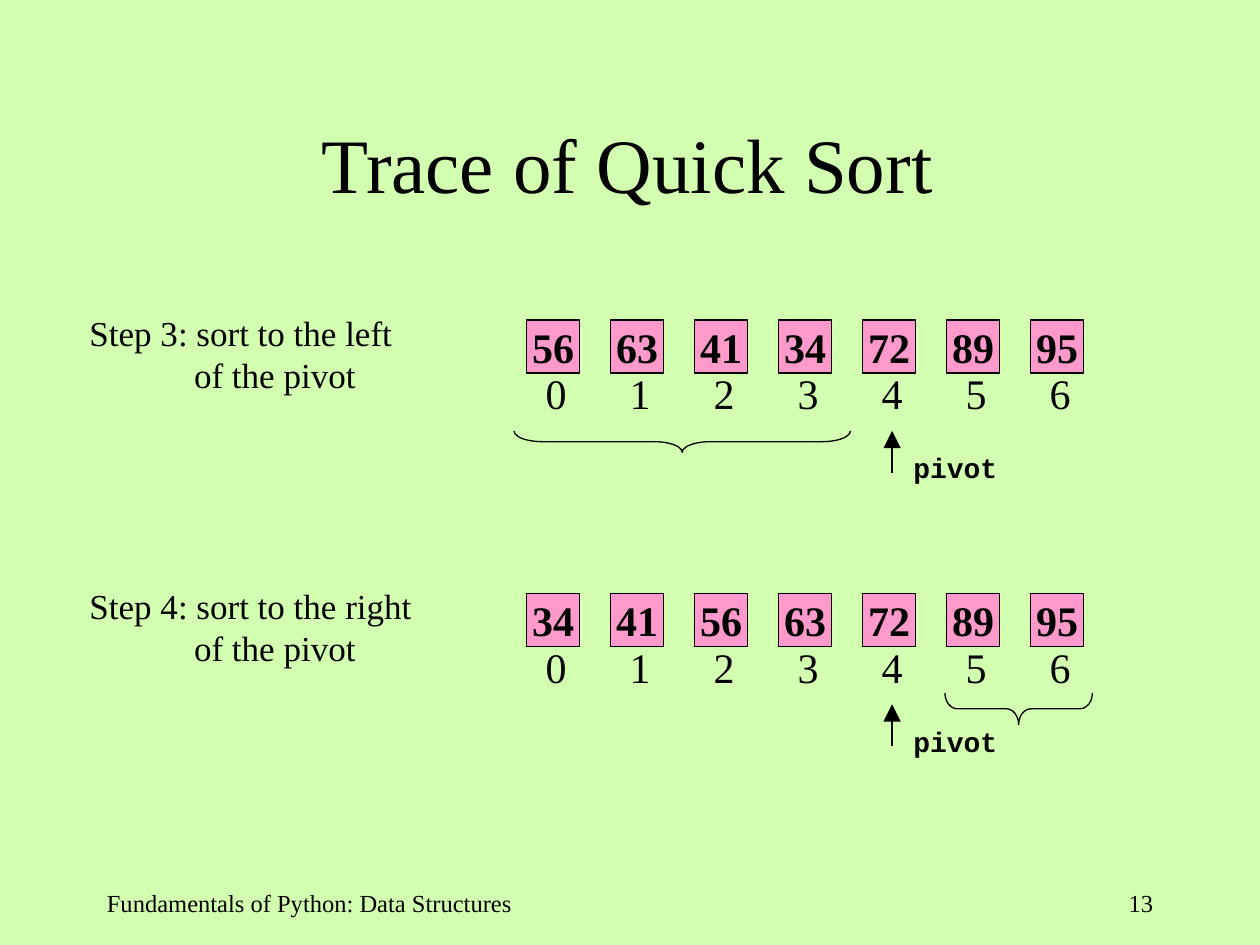
"""Build the quick sort trace slide showing the sorting of both sides of the pivot."""
from dataclasses import dataclass

from lxml import etree
from pptx import Presentation
from pptx.dml.color import RGBColor
from pptx.enum.shapes import MSO_CONNECTOR, MSO_SHAPE
from pptx.enum.text import MSO_ANCHOR, PP_ALIGN
from pptx.oxml.ns import qn
from pptx.slide import Slide
from pptx.text.text import TextFrame
from pptx.util import Inches, Pt

RECTANGLE = MSO_SHAPE.RECTANGLE
LEFT_BRACE = MSO_SHAPE.LEFT_BRACE
STRAIGHT = MSO_CONNECTOR.STRAIGHT
LEFT, CENTER, RIGHT = PP_ALIGN.LEFT, PP_ALIGN.CENTER, PP_ALIGN.RIGHT
TOP, MIDDLE = MSO_ANCHOR.TOP, MSO_ANCHOR.MIDDLE

BACKGROUND = RGBColor(0xD2, 0xFF, 0xB0)
PINK = RGBColor(0xFD, 0x9A, 0xCB)
BLACK = RGBColor(0, 0, 0)
SERIF = "Times New Roman"
MONO = "Courier New"

CELL_LEFT = 4.18
CELL_SIZE = 0.42
CELL_PITCH = 2 / 3
PIVOT_X = 7.08
TIGHT = (0.04, 0, 0.04, 0)
ROOMY = (0.1, 0.05, 0.1, 0.05)


@dataclass(frozen=True)
class TextStyle:
    size: int
    font: str = SERIF
    bold: bool = False
    align: PP_ALIGN = LEFT
    anchor: MSO_ANCHOR = TOP
    insets: tuple[float, ...] = TIGHT


@dataclass(frozen=True)
class Brace:
    left: float
    top: float
    length: float
    depth: float


@dataclass(frozen=True)
class Step:
    top: float
    lines: tuple[str, str]
    values: tuple[int, ...]
    brace: Brace


TITLE = TextStyle(44, align=CENTER, anchor=MIDDLE, insets=(0.1, 0.05, 0.14, 0.05))
VALUE = TextStyle(24, bold=True, align=CENTER, anchor=MIDDLE)
INDEX = TextStyle(24)
CAPTION = TextStyle(20)
PIVOT = TextStyle(16, MONO, bold=True)
FOOTER = TextStyle(14, insets=ROOMY)
PAGE_NUMBER = TextStyle(14, align=RIGHT, insets=ROOMY)

STEPS = (
    Step(2.54, ("Step 3: sort to the left", "of the pivot"),
         (56, 63, 41, 34, 72, 89, 95), Brace(4.08, 3.42, 2.67, 0.17)),
    Step(4.71, ("Step 4: sort to the right", "of the pivot"),
         (34, 41, 56, 63, 72, 89, 95), Brace(7.5, 5.5, 1.17, 0.25)),
)


def write_text(frame: TextFrame, lines: tuple[str, ...], style: TextStyle) -> None:
    """Fill a text frame with one formatted paragraph per line."""
    frame.word_wrap = True
    frame.vertical_anchor = style.anchor
    (frame.margin_left, frame.margin_top,
     frame.margin_right, frame.margin_bottom) = map(Inches, style.insets)
    for number, line in enumerate(lines):
        paragraph = frame.add_paragraph() if number else frame.paragraphs[0]
        paragraph.alignment = style.align
        run = paragraph.add_run()
        run.text = line
        run.font.name = style.font
        run.font.size = Pt(style.size)
        run.font.bold = style.bold
        run.font.color.rgb = BLACK


def add_text(slide: Slide, left: float, top: float, width: float, height: float,
             lines: tuple[str, ...], style: TextStyle) -> TextFrame:
    """Add a text box and return its text frame."""
    box = slide.shapes.add_textbox(*map(Inches, (left, top, width, height)))
    write_text(box.text_frame, lines, style)
    return box.text_frame


def add_cell(slide: Slide, left: float, top: float, value: int) -> None:
    """Add one array cell with its value."""
    cell = slide.shapes.add_shape(
        RECTANGLE, *map(Inches, (left, top, CELL_SIZE, CELL_SIZE)))
    cell.shadow.inherit = False
    cell.fill.solid()
    cell.fill.fore_color.rgb = PINK
    cell.line.color.rgb = BLACK
    cell.line.width = Pt(0.75)
    write_text(cell.text_frame, (str(value),), VALUE)


def add_indexes(slide: Slide, top: float, count: int) -> None:
    """Add the row of indexes, aligned with the cells by tab stops."""
    text = "\t".join(map(str, range(count)))
    frame = add_text(slide, 4.29, top, 4.26, 0.4, (text,), INDEX)
    properties = frame.paragraphs[0]._p.get_or_add_pPr()
    tab_list = etree.SubElement(properties, qn("a:tabLst"))
    for number in range(1, count):
        etree.SubElement(tab_list, qn("a:tab"),
                         pos=str(Inches(number * CELL_PITCH)), algn="l")


def add_brace(slide: Slide, brace: Brace) -> None:
    """Add a brace that lies under the cells and points down."""
    shift = (brace.length - brace.depth) / 2
    shape = slide.shapes.add_shape(LEFT_BRACE, *map(Inches, (
        brace.left + shift, brace.top - shift, brace.depth, brace.length)))
    shape.rotation = 270
    shape.adjustments[0] = brace.length / 12 / brace.depth
    shape.shadow.inherit = False
    shape.fill.background()
    shape.line.color.rgb = BLACK
    shape.line.width = Pt(0.75)


def add_pivot(slide: Slide, top: float) -> None:
    """Add the arrow and the label that mark the pivot."""
    arrow = slide.shapes.add_connector(
        STRAIGHT, *map(Inches, (PIVOT_X, top + 0.33, PIVOT_X, top)))
    arrow.line.color.rgb = BLACK
    arrow.line.width = Pt(0.75)
    etree.SubElement(arrow.line._get_or_add_ln(), qn("a:tailEnd"),
                     type="triangle", w="lg", len="lg")
    etree.SubElement(arrow._element.spPr, qn("a:effectLst"))
    add_text(slide, 7.21, top + 0.16, 0.8, 0.27, ("pivot",), PIVOT)


def add_step(slide: Slide, step: Step) -> None:
    """Add one step of the trace."""
    for number, value in enumerate(step.values):
        add_cell(slide, CELL_LEFT + number * CELL_PITCH, step.top, value)
    add_indexes(slide, step.top + 0.38, len(step.values))
    caption = add_text(slide, 0.67, step.top - 0.07, 2.72, 0.67, step.lines, CAPTION)
    caption.paragraphs[1]._p.get_or_add_pPr().set("marL", str(Inches(0.83)))
    add_brace(slide, step.brace)
    add_pivot(slide, step.top + 0.88)


def main() -> None:
    """Create and save the presentation."""
    presentation = Presentation()
    presentation.slide_width = Inches(10)
    presentation.slide_height = Inches(7.5)
    slide = presentation.slides.add_slide(presentation.slide_layouts[5])
    slide.background.fill.solid()
    slide.background.fill.fore_color.rgb = BACKGROUND

    title = slide.shapes.title
    title.left, title.top, title.width, title.height = map(
        Inches, (0.75, 0.67, 8.5, 1.25))
    write_text(title.text_frame, ("Trace of Quick Sort",), TITLE)

    for step in STEPS:
        add_step(slide, step)
    add_text(slide, 0.75, 7, 3.83, 0.5,
             ("Fundamentals of Python: Data Structures",), FOOTER)
    add_text(slide, 7.17, 7, 2.08, 0.5, ("13",), PAGE_NUMBER)
    presentation.save("out.pptx")


if __name__ == "__main__":
    main()
